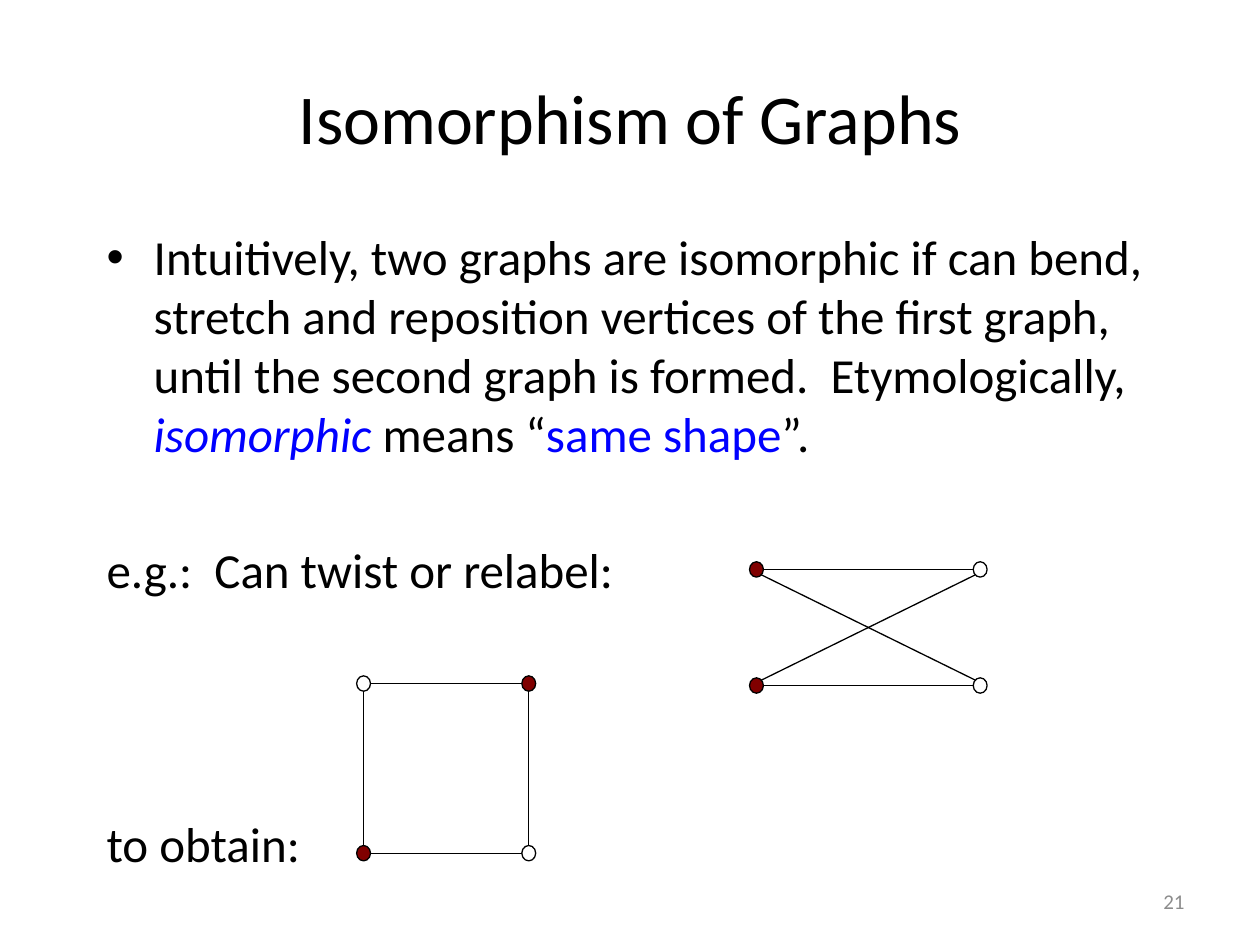
from lxml import etree
from pptx import Presentation
from pptx import util as u
from pptx.dml.color import RGBColor
from pptx.enum import shapes, text
from pptx.oxml.ns import qn

COLORS = {"ink": "000000", "accent": "0000FF", "node": "800000", "number": "8C8C8C"}
NODE_W, NODE_H = 0.28, 0.31


def sign(n):
    return (n > 0) - (n < 0)


class Deck:
    font = "Calibri"
    line_width = u.Pt(0.75)

    def __init__(self, width, height):
        self.prs = Presentation()
        self.prs.slide_width, self.prs.slide_height = u.Cm(width), u.Cm(height)
        self.s = self.prs.slides.add_slide(self.prs.slide_layouts[6])

    def color(self, name):
        return RGBColor.from_string(COLORS[name])

    def text_box(self, box, paragraphs, size, color="ink", anchor="TOP", **formats):
        """Each paragraph is (format values, runs); each run is (text, font values)."""
        tf = self.s.shapes.add_textbox(*map(u.Cm, box)).text_frame
        tf.word_wrap = True
        tf.vertical_anchor = getattr(text.MSO_ANCHOR, anchor)
        for i, (own, runs) in enumerate(paragraphs):
            p = tf.paragraphs[0] if i == 0 else tf.add_paragraph()
            for key, value in {**formats, **own}.items():
                setattr(p, key, value)
            for words, style in runs:
                r = p.add_run()
                r.text = words
                values = {"name": self.font, "size": u.Pt(size), **style}
                r.font.color.rgb = self.color(values.pop("color", color))
                for key, value in values.items():
                    setattr(r.font, key, value)
        return tf

    def bullet(self, p, indent):
        """Hang the first line at a bullet."""
        pPr = p._p.get_or_add_pPr()
        pPr.set("marL", str(u.Cm(indent)))
        pPr.set("indent", str(-u.Cm(indent)))
        etree.SubElement(pPr, qn("a:buFont")).set("typeface", "Arial")
        etree.SubElement(pPr, qn("a:buChar")).set("char", "•")

    def node(self, x, y, filled):
        sp = self.s.shapes.add_shape(
            shapes.MSO_SHAPE.OVAL,
            *map(u.Cm, (x - NODE_W / 2, y - NODE_H / 2, NODE_W, NODE_H)))
        sp.shadow.inherit = False
        sp.line.color.rgb, sp.line.width = self.color("ink"), self.line_width
        if filled:
            sp.fill.solid()
            sp.fill.fore_color.rgb = self.color("node")
        else:
            sp.fill.background()

    def edge(self, start, end):
        """Join two node centres with a line that stops at the rims."""
        dx, dy = (sign(b - a) for a, b in zip(start, end))
        reach = 0.7 if dx and dy else 1
        rx, ry = dx * reach * NODE_W / 2, dy * reach * NODE_H / 2
        ends = (start[0] + rx, start[1] + ry, end[0] - rx, end[1] - ry)
        line = self.s.shapes.add_connector(shapes.MSO_CONNECTOR.STRAIGHT, *map(u.Cm, ends))
        line.line.color.rgb, line.line.width = self.color("ink"), self.line_width
        etree.SubElement(line._element.spPr, qn("a:effectLst"))

    def graph(self, xs, ys, filled, edges):
        """Corners are numbered 0 top left, 1 top right, 2 bottom left, 3 bottom right."""
        corners = [(x, y) for y in ys for x in xs]
        for a, b in edges:
            self.edge(corners[a], corners[b])
        for i, corner in enumerate(corners):
            self.node(*corner, i in filled)


def main():
    deck = Deck(25.4, 19.05)
    center, right = text.PP_ALIGN.CENTER, text.PP_ALIGN.RIGHT
    deck.text_box((18.2, 17.66, 5.93, 1.01), [({}, [("21", {})])], 12, "number",
                  "MIDDLE", alignment=right)
    deck.text_box((1.27, 0.76, 22.86, 3.18), [({}, [("Isomorphism of Graphs", {})])], 40,
                  anchor="MIDDLE", alignment=center)

    body = [
        ({"space_before": u.Pt(5)}, [
            ("Intuitively, two graphs are isomorphic if can bend, stretch and reposition "
             "vertices of the first graph, until the second graph is formed.  "
             "Etymologically, ", {}),
            ("isomorphic", {"color": "accent", "italic": True}),
            (" means “", {}),
            ("same shape", {"color": "accent"}),
            ("”.", {})]),
        ({"space_before": u.Pt(44)}, [("e.g.:  Can twist or relabel:", {})]),
        ({"space_before": u.Pt(123)}, [("to obtain:", {})]),
    ]
    tf = deck.text_box((1.9, 4.45, 21.8, 13.97), body, 28)
    deck.bullet(tf.paragraphs[0], 0.95)

    sides = [(0, 1), (2, 3)]
    deck.graph((7.33, 10.66), (13.78, 17.2), {1, 2}, sides + [(0, 2), (1, 3)])
    deck.graph((15.25, 19.76), (11.48, 13.82), {0, 2}, sides + [(0, 3), (1, 2)])
    deck.prs.save("out.pptx")


if __name__ == "__main__":
    main()
